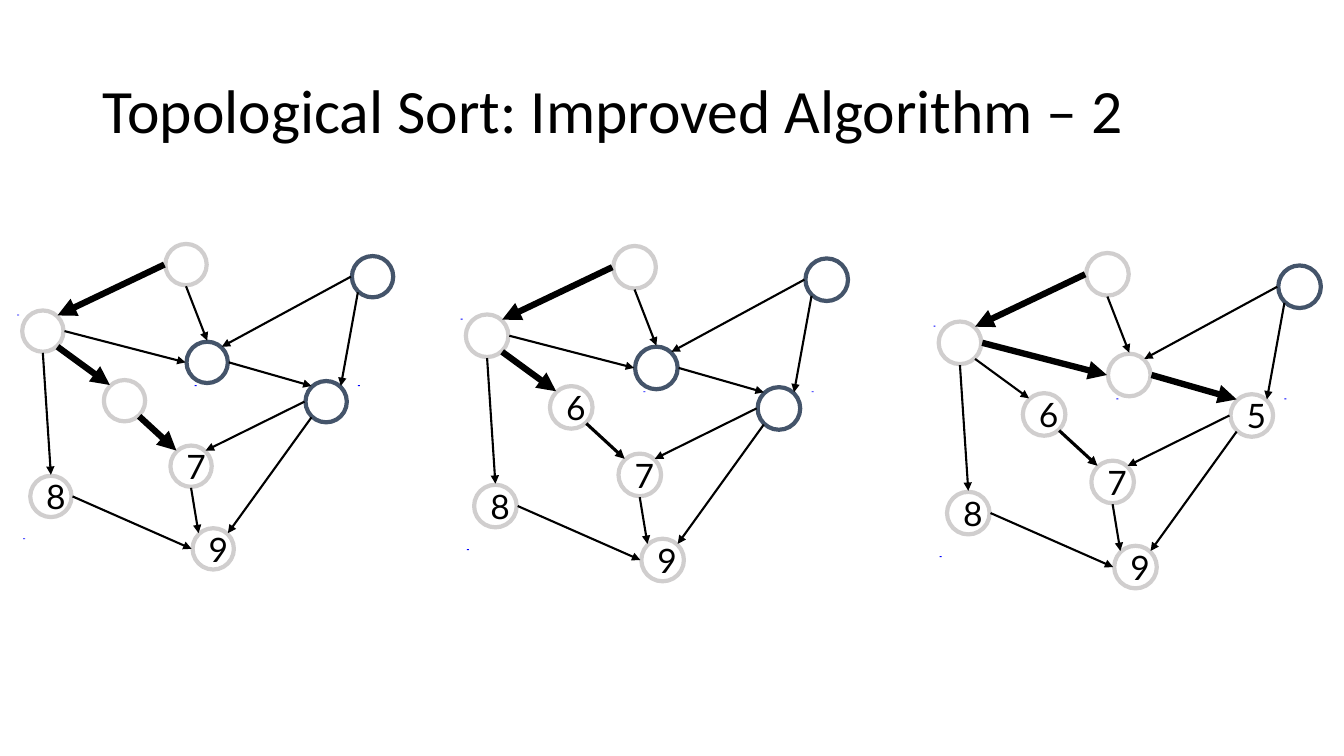
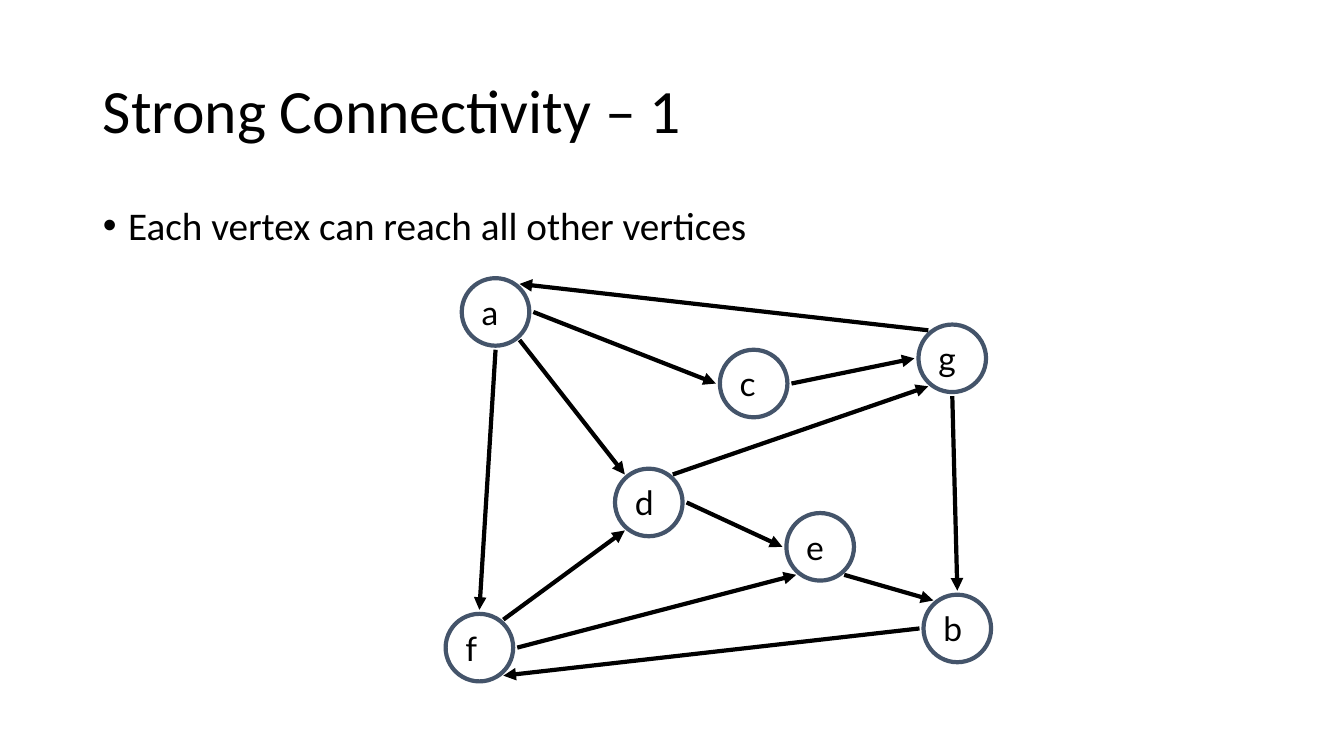
"""Build two slides on graph algorithms: topological sort and strong connectivity."""
from dataclasses import dataclass

from lxml import etree
from pptx import Presentation
from pptx import util as u
from pptx.dml.color import RGBColor
from pptx.enum import shapes, text
from pptx.oxml import ns


@dataclass(frozen=True)
class Theme:
    """Colours, fonts and type sizes shared by the slides."""
    ink: RGBColor = RGBColor(0x00, 0x00, 0x00)
    paper: RGBColor = RGBColor(0xFF, 0xFF, 0xFF)
    visited: RGBColor = RGBColor(0xD0, 0xCE, 0xCE)
    open: RGBColor = RGBColor(0x44, 0x54, 0x6A)
    tick: RGBColor = RGBColor(0x00, 0x00, 0xFF)
    text_font: str = "Calibri"
    label_font: str = "Lato"
    title_size: int = 44
    body_size: int = 28
    label_size: int = 24
    ring: float = 3
    thin: float = 1.5
    medium: float = 2.25
    thick: float = 4.5


THEME = Theme()
TITLE_ONLY, TITLE_AND_BODY = 5, 1
DIAGONAL = 0.71
STEPS = {"N": (0, -1), "S": (0, 1), "W": (-1, 0), "E": (1, 0)}

SORT_SIZE = 0.41
SORT_NODES = {
    "top": (1.42, 0), "seventh": (1.47, 2), "hub": (1.63, 0.97),
    "eighth": (0.08, 2.3), "east": (2.81, 1.36), "sixth": (0.81, 1.35),
    "corner": (3.27, 0.12), "west": (0, 0.66), "ninth": (1.69, 2.82),
}
SORT_EDGES = (
    ("top", "W", "west", "NE"), ("top", "S", "hub", "N"),
    ("corner", "W", "hub", "NE"), ("east", "W", "seventh", "NE"),
    ("east", "SW", "ninth", "NE"), ("eighth", "E", "ninth", "W"),
    ("seventh", "S", "ninth", "NW"), ("sixth", "SE", "seventh", "NW"),
    ("west", "SE", "sixth", "NW"), ("west", "S", "eighth", "N"),
    ("west", "E", "hub", "W"), ("hub", "E", "east", "NW"),
    ("corner", "SW", "east", "NE"),
)
SORT_TICKS = ((-0.05, 0.7), (1.71, 1.4), (3.33, 1.4), (0.01, 2.92))


@dataclass(frozen=True)
class Stage:
    """One step of the sort: its place, labels, open vertices and edge weights."""
    left: float
    top: float
    scale: float
    labels: dict
    unvisited: tuple
    weights: dict


FINISHED = {"seventh": "7", "eighth": "8", "ninth": "9"}
STAGES = (
    Stage(0.22, 2.42, 1, FINISHED, ("hub", "east", "corner"),
          {("top", "west"): THEME.thick, ("west", "sixth"): THEME.thick,
           ("sixth", "seventh"): THEME.thick}),
    Stage(4.62, 2.44, 1.03, FINISHED | {"sixth": "6"}, ("hub", "east", "corner"),
          {("top", "west"): THEME.thick, ("west", "sixth"): THEME.thick,
           ("sixth", "seventh"): THEME.medium}),
    Stage(9.31, 2.51, 1.03, FINISHED | {"sixth": "6", "east": "5"}, ("corner",),
          {("top", "west"): THEME.thick, ("west", "hub"): THEME.thick,
           ("hub", "east"): THEME.thick, ("sixth", "seventh"): THEME.medium}),
)

STRONG_SIZE = 0.67
STRONG_NODES = {
    "a": (4.58, 2.76), "d": (6.1, 4.65), "c": (7.14, 3.47), "b": (9.16, 5.9),
    "e": (7.8, 5.09), "f": (4.42, 6.09), "g": (9.11, 3.22),
}
STRONG_EDGES = (
    ("a", "S", "f", "N"), ("a", "SE", "d", "NW"), ("a", "E", "c", "W"),
    ("g", "NW", "a", "NE"), ("c", "E", "g", "W"), ("g", "S", "b", "N"),
    ("d", "E", "e", "W"), ("e", "SE", "b", "NW"), ("f", "NE", "d", "SW"),
    ("f", "E", "e", "SW"), ("b", "W", "f", "SE"), ("d", "NE", "g", "SW"),
)


def set_font(para, name, size):
    """Give a paragraph its typeface, size and ink colour."""
    para.font.name = name
    para.font.size = u.Pt(size)
    para.font.color.rgb = THEME.ink


def place(box, left, top, width, height):
    """Move and size a placeholder."""
    box.left, box.top = u.Inches(left), u.Inches(top)
    box.width, box.height = u.Inches(width), u.Inches(height)


def add_page(deck, layout, title):
    """Add a slide with the shared title style."""
    page = deck.slides.add_slide(deck.slide_layouts[layout])
    box = page.shapes.title
    place(box, 0.92, 0.4, 11.5, 1.45)
    box.text_frame.text = title
    box.text_frame.vertical_anchor = text.MSO_ANCHOR.MIDDLE
    para = box.text_frame.paragraphs[0]
    para.alignment = text.PP_ALIGN.LEFT
    para.line_spacing = 0.9
    set_font(para, THEME.text_font, THEME.title_size)
    return page


def fill_body(page, statement):
    """Write one bulleted statement in the body placeholder."""
    box = page.placeholders[1]
    place(box, 0.92, 2, 11.5, 4.76)
    box.text_frame.text = statement
    para = box.text_frame.paragraphs[0]
    para.line_spacing = 0.9
    para.space_before = u.Pt(10)
    set_font(para, THEME.text_font, THEME.body_size)
    props = para._p.get_or_add_pPr()
    props.set("marL", str(u.Inches(0.25)))
    props.set("indent", str(u.Inches(-0.25)))
    etree.SubElement(props, ns.qn("a:buFont")).set("typeface", "Arial")
    etree.SubElement(props, ns.qn("a:buChar")).set("char", "•")


def add_node(group, left, top, size, ring, label=""):
    """Draw one vertex with an optional label."""
    node = group.shapes.add_shape(shapes.MSO_SHAPE.OVAL, u.Inches(left),
                                  u.Inches(top), u.Inches(size), u.Inches(size))
    node.shadow.inherit = False
    node.fill.solid()
    node.fill.fore_color.rgb = THEME.paper
    node.line.color.rgb = ring
    node.line.width = u.Pt(THEME.ring)
    if label:
        frame = node.text_frame
        frame.word_wrap = False
        frame.vertical_anchor = text.MSO_ANCHOR.MIDDLE
        frame.text = label
        para = frame.paragraphs[0]
        para.alignment = text.PP_ALIGN.LEFT
        set_font(para, THEME.label_font, THEME.label_size)


def add_tick(group, left, top):
    """Draw one tiny blue mark."""
    tick = group.shapes.add_shape(shapes.MSO_SHAPE.RECTANGLE, u.Inches(left),
                                  u.Inches(top), u.Inches(0.02), u.Inches(0.01))
    tick.shadow.inherit = False
    tick.fill.solid()
    tick.fill.fore_color.rgb = THEME.tick
    tick.line.fill.background()


def anchor(corner, size, side, gap):
    """Return the point just outside a vertex on the named side."""
    radius = size / 2
    across = sum(STEPS[letter][0] for letter in side)
    down = sum(STEPS[letter][1] for letter in side)
    if len(side) == 2:
        reach_x, reach_y = radius * DIAGONAL, radius * DIAGONAL + gap
    else:
        reach_x = reach_y = radius + gap
    return (corner[0] + radius + across * reach_x,
            corner[1] + radius + down * reach_y)


def add_arrow(group, start, end, weight):
    """Draw a straight arrow between two points."""
    arrow = group.shapes.add_connector(
        shapes.MSO_CONNECTOR.STRAIGHT, *(u.Inches(v) for v in (*start, *end)))
    arrow.line.color.rgb = THEME.ink
    arrow.line.width = u.Pt(weight)
    line = arrow.line._get_or_add_ln()
    etree.SubElement(line, ns.qn("a:tailEnd")).set("type", "triangle")
    etree.SubElement(arrow._element.spPr, ns.qn("a:effectLst"))


def add_edges(group, edges, corners, size, gap, weights, default):
    """Draw every edge of a graph."""
    for source, exit_side, target, entry_side in edges:
        add_arrow(group, anchor(corners[source], size, exit_side, gap),
                  anchor(corners[target], size, entry_side, gap),
                  weights.get((source, target), default))


def add_stage(page, stage):
    """Draw the sort graph as it stands at one stage."""
    def locate(point):
        return (stage.left + point[0] * stage.scale,
                stage.top + point[1] * stage.scale)

    group = page.shapes.add_group_shape()
    size = SORT_SIZE * stage.scale
    corners = {name: locate(point) for name, point in SORT_NODES.items()}
    for point in SORT_TICKS:
        add_tick(group, *locate(point))
    for name, corner in corners.items():
        ring = THEME.open if name in stage.unvisited else THEME.visited
        add_node(group, *corner, size, ring, stage.labels.get(name, ""))
    add_edges(group, SORT_EDGES, corners, size, 0.01, stage.weights, THEME.thin)


def add_strong_graph(page):
    """Draw the strongly connected graph."""
    group = page.shapes.add_group_shape()
    for name, corner in STRONG_NODES.items():
        add_node(group, *corner, STRONG_SIZE, THEME.open, name)
    add_edges(group, STRONG_EDGES, STRONG_NODES, STRONG_SIZE, 0.04, {}, THEME.ring)


def main():
    """Build and save the deck."""
    deck = Presentation()
    deck.slide_width, deck.slide_height = u.Inches(13.33), u.Inches(7.5)

    page = add_page(deck, TITLE_ONLY, "Topological Sort: Improved Algorithm – 2")
    for stage in STAGES:
        add_stage(page, stage)

    page = add_page(deck, TITLE_AND_BODY, "Strong Connectivity – 1")
    fill_body(page, "Each vertex can reach all other vertices")
    add_strong_graph(page)

    deck.save("out.pptx")


if __name__ == "__main__":
    main()
